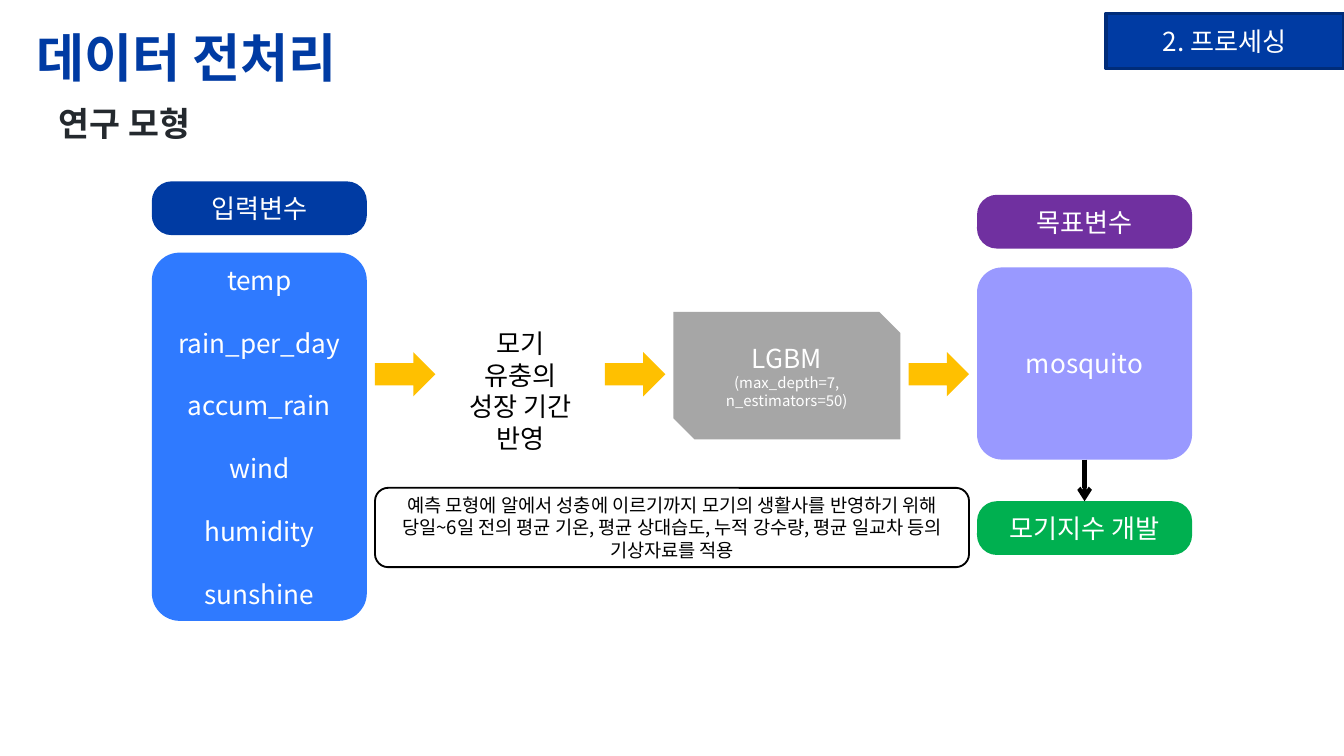
from dataclasses import dataclass
from typing import Optional

import pptx
import pptx.dml.color
import pptx.enum.shapes
import pptx.enum.text
import pptx.oxml
import pptx.oxml.ns
import pptx.util

RGBColor = pptx.dml.color.RGBColor
Shape = pptx.enum.shapes.MSO_SHAPE
Align = pptx.enum.text.PP_ALIGN
Anchor = pptx.enum.text.MSO_ANCHOR

NAVY = RGBColor(0x00, 0x3B, 0xA3)
DARK_NAVY = RGBColor(0x00, 0x2C, 0x79)
BLUE = RGBColor(0x2F, 0x7A, 0xFF)
GRAY = RGBColor(0xA6, 0xA6, 0xA6)
AMBER = RGBColor(0xFF, 0xC0, 0x00)
LAVENDER = RGBColor(0x99, 0x99, 0xFF)
PURPLE = RGBColor(0x70, 0x30, 0xA0)
GREEN = RGBColor(0x00, 0xB0, 0x50)
CHARCOAL = RGBColor(0x24, 0x29, 0x2E)
BLACK = RGBColor(0x00, 0x00, 0x00)
WHITE = RGBColor(0xFF, 0xFF, 0xFF)

FONT = "Noto Sans CJK KR"
PX_PER_INCH = 100
EMU_PER_PX = 914400 // PX_PER_INCH
SLIDE_W = 1000

INPUT_X, TARGET_X, COLUMN_W = 113, 727, 160
LABEL_H = 40
ARROW_Y, ARROW_W, ARROW_H = 262, 45, 33
LABEL_ROUND, PANEL_ROUND = 0.37, 0.13


@dataclass(frozen=True)
class Box:
    left: int
    top: int
    width: int
    height: int

    def emu(self) -> tuple[int, int, int, int]:
        return tuple(
            side * EMU_PER_PX
            for side in (self.left, self.top, self.width, self.height)
        )


@dataclass(frozen=True)
class Block:
    box: Box
    lines: tuple[str, ...] = ()
    fill: Optional[RGBColor] = None
    kind: Shape = Shape.ROUNDED_RECTANGLE
    rounding: Optional[float] = None
    sizes: tuple[int, ...] = (14,)
    color: RGBColor = WHITE
    line: Optional[RGBColor] = None
    line_width: int = 1
    gap: float = 0


def write(frame, lines: tuple[str, ...], sizes: tuple[int, ...], color: RGBColor,
          align: Align, bold: bool = False, gap: float = 0) -> None:
    frame.word_wrap = True
    frame.text = "\n".join(lines)
    for index, paragraph in enumerate(frame.paragraphs):
        paragraph.alignment = align
        if gap and index:
            paragraph.space_before = pptx.util.Pt(gap)
        for run in paragraph.runs:
            run.font.size = pptx.util.Pt(sizes[min(index, len(sizes) - 1)])
            run.font.bold = bold
            run.font.color.rgb = color
            run.font.name = FONT
            east_asian = pptx.oxml.parse_xml(
                f'<a:ea {pptx.oxml.ns.nsdecls("a")} typeface="{FONT}"/>'
            )
            run.font._element.append(east_asian)


def draw_block(slide, block: Block):
    shape = slide.shapes.add_shape(block.kind, *block.box.emu())
    shape.shadow.inherit = False
    if block.rounding is not None:
        shape.adjustments[0] = block.rounding
    if block.fill is None:
        shape.fill.background()
    else:
        shape.fill.solid()
        shape.fill.fore_color.rgb = block.fill
    if block.line is None:
        shape.line.fill.background()
    else:
        shape.line.color.rgb = block.line
        shape.line.width = pptx.util.Pt(block.line_width)
    if block.lines:
        shape.text_frame.vertical_anchor = Anchor.MIDDLE
        write(shape.text_frame, block.lines, block.sizes, block.color,
              Align.CENTER, gap=block.gap)
    return shape


def draw_text(slide, box: Box, lines: tuple[str, ...], size: int, color: RGBColor,
              align: Align, bold: bool = False, inset: int = 10) -> None:
    frame = slide.shapes.add_textbox(*box.emu()).text_frame
    frame.margin_left = frame.margin_right = inset * EMU_PER_PX
    write(frame, lines, (size,), color, align, bold)


def draw_title(slide, box: Box, text: str) -> None:
    title = slide.shapes.title
    title.left, title.top, title.width, title.height = box.emu()
    frame = title.text_frame
    frame.auto_size = pptx.enum.text.MSO_AUTO_SIZE.NONE
    frame.vertical_anchor = Anchor.TOP
    frame.margin_left = frame.margin_right = 10 * EMU_PER_PX
    frame.margin_top = frame.margin_bottom = 10 * EMU_PER_PX
    write(frame, (text,), (28,), NAVY, Align.LEFT, bold=True)


def connect_down(slide, upper, lower) -> None:
    connector = slide.shapes.add_connector(
        pptx.enum.shapes.MSO_CONNECTOR.STRAIGHT, 0, 0, 0, 0
    )
    connector.begin_connect(upper, 2)
    connector.end_connect(lower, 0)
    connector.line.color.rgb = BLACK
    connector.line.width = pptx.util.Pt(2.25)
    namespace = pptx.oxml.ns.nsdecls("a")
    connector.line._get_or_add_ln().append(
        pptx.oxml.parse_xml(f'<a:tailEnd {namespace} type="arrow"/>')
    )
    connector._element.spPr.append(pptx.oxml.parse_xml(f"<a:effectLst {namespace}/>"))


def column_label(left: int, top: int, text: str, fill: RGBColor) -> Block:
    return Block(Box(left, top, COLUMN_W, LABEL_H), (text,), fill, rounding=LABEL_ROUND)


def main() -> None:
    presentation = pptx.Presentation()
    presentation.slide_width = SLIDE_W * EMU_PER_PX
    presentation.slide_height = presentation.slide_width * 9 // 16
    slide = presentation.slides.add_slide(presentation.slide_layouts[5])

    draw_title(slide, Box(17, 9, 844, 63), "데이터 전처리")
    draw_text(slide, Box(34, 72, 875, 40), ("연구 모형",), 18, CHARCOAL, Align.LEFT, bold=True)
    draw_block(slide, Block(Box(823, 10, 177, 41), ("2. 프로세싱",), NAVY,
                            Shape.RECTANGLE, line=DARK_NAVY, line_width=2))

    input_names = ("temp", "rain_per_day", "accum_rain", "wind", "humidity", "sunshine")
    draw_block(slide, Block(Box(INPUT_X, 188, COLUMN_W, 274), input_names, BLUE,
                            rounding=PANEL_ROUND, gap=16.8))
    draw_block(slide, column_label(INPUT_X, 135, "입력변수", NAVY))

    draw_block(slide, Block(Box(501, 232, 169, 95),
                            ("LGBM", "(max_depth=7, n_estimators=50)"), GRAY,
                            Shape.SNIP_2_DIAG_RECTANGLE, sizes=(14, 8)))
    draw_text(slide, Box(330, 239, 115, 81), ("모기 유충의", "성장 기간", "반영"),
              14, BLACK, Align.CENTER, inset=15)
    for arrow_x in (279, 450, 676):
        draw_block(slide, Block(Box(arrow_x, ARROW_Y, ARROW_W, ARROW_H),
                                fill=AMBER, kind=Shape.RIGHT_ARROW))

    mosquito = draw_block(slide, Block(Box(TARGET_X, 199, COLUMN_W, 143), ("mosquito",),
                                       LAVENDER, rounding=PANEL_ROUND))
    draw_block(slide, column_label(TARGET_X, 145, "목표변수", PURPLE))
    mosquito_index = draw_block(slide, column_label(TARGET_X, 373, "모기지수 개발", GREEN))
    connect_down(slide, mosquito, mosquito_index)

    weather_note = (
        "예측 모형에 알에서 성충에 이르기까지 모기의 생활사를 반영하기 위해 "
        "당일~6일 전의 평균 기온, 평균 상대습도, 누적 강수량, 평균 일교차 "
        "등의 기상자료를 적용"
    )
    draw_block(slide, Block(Box(279, 363, 442, 59), (weather_note,),
                            sizes=(10,), color=BLACK, line=BLACK))

    presentation.save("out.pptx")


if __name__ == "__main__":
    main()
